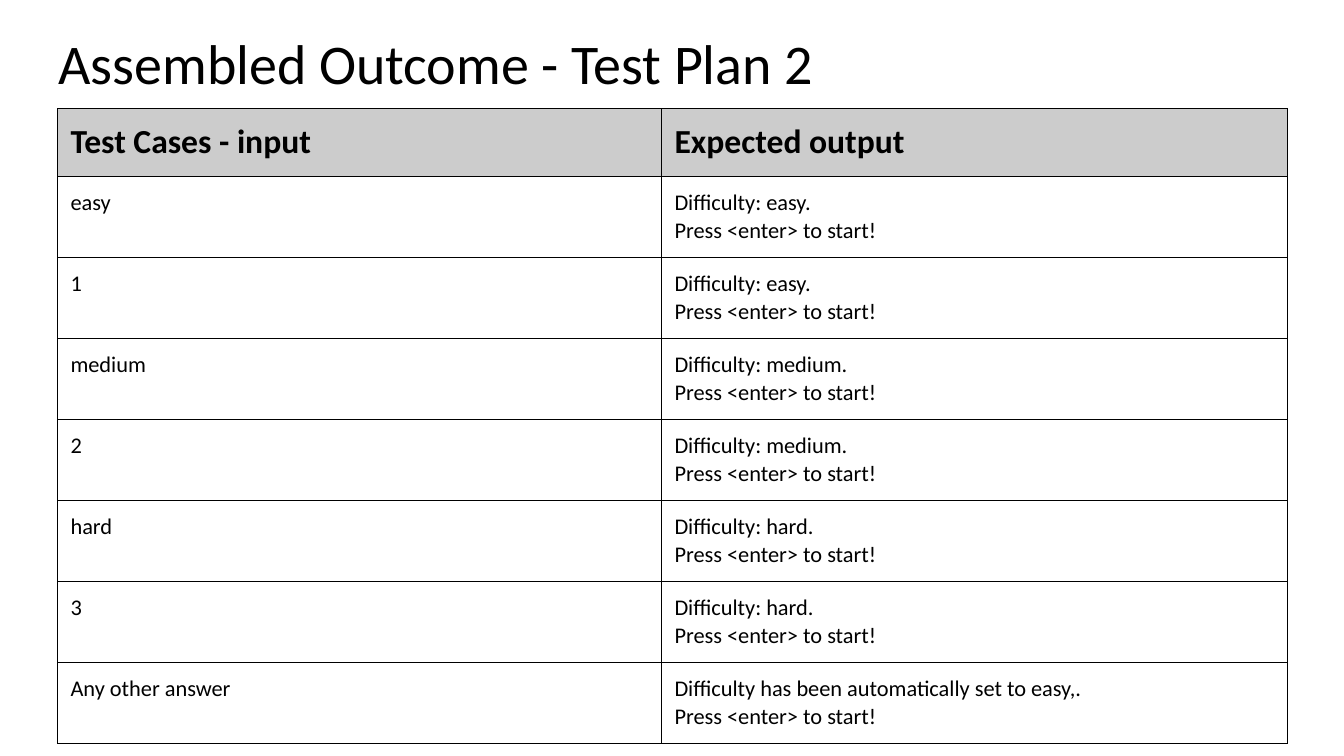
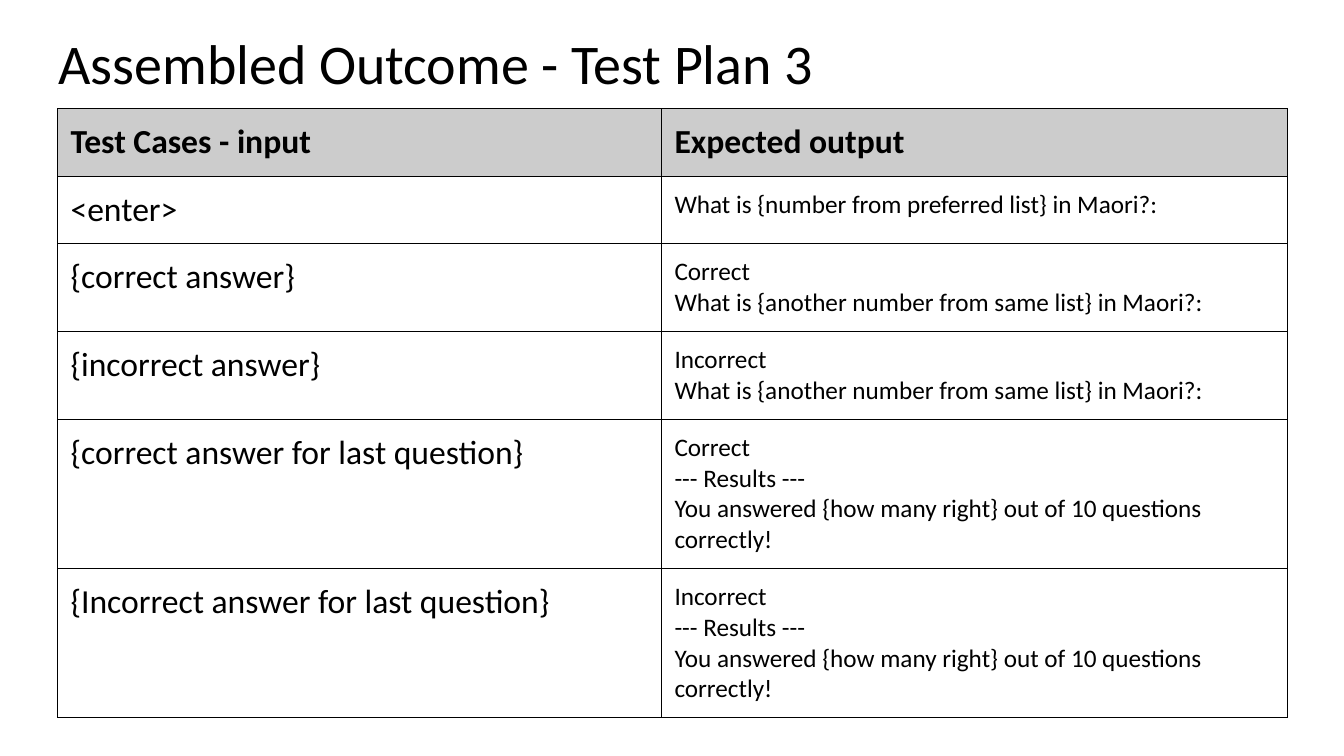
from dataclasses import dataclass

from lxml.etree import SubElement
from pptx import Presentation
from pptx.dml.color import RGBColor
from pptx.enum.text import MSO_ANCHOR, PP_ALIGN
from pptx.oxml.ns import qn
from pptx.util import Inches, Pt


@dataclass(frozen=True)
class Theme:
    font: str = "Calibri"
    ink: str = "000000"
    paper: str = "FFFFFF"
    header: str = "CCCCCC"
    title_size: int = 40
    header_size: int = 24
    line_width: float = 0.75
    inset: float = 0.13


THEME = Theme()
SLIDE_W, SLIDE_H = 13.33, 7.5
TITLE_BOX = (0.45, 0.24, 12.42, 0.84)
TABLE_LEFT, TABLE_TOP = 0.57, 1.08
COLUMNS = (5.99, 6.21)
ROW_H = 0.67

HEADER = ("Test Cases - input", "Expected output")
START = "Press <enter> to start!"
NEXT = "What is {another number from same list} in Maori?:"
RESULTS = "--- Results ---\nYou answered {how many right} out of 10 questions correctly!"

DIFFICULTY_CASES = [
    (answer, f"Difficulty: {level}.\n{START}")
    for number, level in enumerate(("easy", "medium", "hard"), 1)
    for answer in (level, str(number))
] + [("Any other answer", f"Difficulty has been automatically set to easy,.\n{START}")]

QUESTION_CASES = [
    ("<enter>", "What is {number from preferred list} in Maori?:"),
    ("{correct answer}", f"Correct\n{NEXT}"),
    ("{incorrect answer}", f"Incorrect\n{NEXT}"),
    ("{correct answer for last question}", f"Correct\n{RESULTS}"),
    ("{Incorrect answer for last question}", f"Incorrect\n{RESULTS}"),
]


def format_text(tf, size, bold=False):
    for p in tf.paragraphs:
        p.alignment = PP_ALIGN.LEFT
        for r in p.runs:
            r.font.name = THEME.font
            r.font.size = Pt(size)
            r.font.bold = bold
            r.font.color.rgb = RGBColor.from_string(THEME.ink)


def set_insets(frame):
    frame.margin_left = frame.margin_right = Inches(THEME.inset)
    frame.margin_top = frame.margin_bottom = Inches(THEME.inset)


def set_borders(cell):
    tc_pr = cell._tc.get_or_add_tcPr()
    for index, side in enumerate(("a:lnL", "a:lnR", "a:lnT", "a:lnB")):
        line = tc_pr.makeelement(qn(side), {"w": str(Pt(THEME.line_width))})
        fill = SubElement(line, qn("a:solidFill"))
        SubElement(fill, qn("a:srgbClr"), {"val": THEME.ink})
        tc_pr.insert(index, line)


def fill_cell(cell, text, size, color, bold=False):
    cell.text_frame.text = text
    format_text(cell.text_frame, size, bold)
    set_insets(cell)
    cell.vertical_anchor = MSO_ANCHOR.TOP
    cell.fill.solid()
    cell.fill.fore_color.rgb = RGBColor.from_string(color)
    set_borders(cell)


def add_title(s, text):
    title = s.shapes.title
    title.left, title.top, title.width, title.height = map(Inches, TITLE_BOX)
    tf = title.text_frame
    tf.text = text
    tf.word_wrap = True
    tf.vertical_anchor = MSO_ANCHOR.MIDDLE
    set_insets(tf)
    format_text(tf, THEME.title_size)
    tf.paragraphs[0].line_spacing = 0.9


def add_case_table(s, cases, sizes):
    count = len(cases) + 1
    table = s.shapes.add_table(
        count, len(COLUMNS), Inches(TABLE_LEFT), Inches(TABLE_TOP),
        Inches(sum(COLUMNS)), Inches(ROW_H * count),
    ).table
    table.horz_banding = False
    for column, width in zip(table.columns, COLUMNS):
        column.width = Inches(width)
    for row in table.rows:
        row.height = Inches(ROW_H)
    for col, text in enumerate(HEADER):
        fill_cell(table.cell(0, col), text, THEME.header_size, THEME.header, True)
    for row, case in enumerate(cases, 1):
        for col, (text, size) in enumerate(zip(case, sizes)):
            fill_cell(table.cell(row, col), text, size, THEME.paper)


def add_test_plan(prs, number, cases, sizes):
    s = prs.slides.add_slide(prs.slide_layouts[5])
    add_title(s, f"Assembled Outcome - Test Plan {number}")
    add_case_table(s, cases, sizes)


def main():
    prs = Presentation()
    prs.slide_width, prs.slide_height = Inches(SLIDE_W), Inches(SLIDE_H)
    add_test_plan(prs, 2, DIFFICULTY_CASES, (16, 16))
    add_test_plan(prs, 3, QUESTION_CASES, (24, 18))
    prs.save("out.pptx")


if __name__ == "__main__":
    main()
